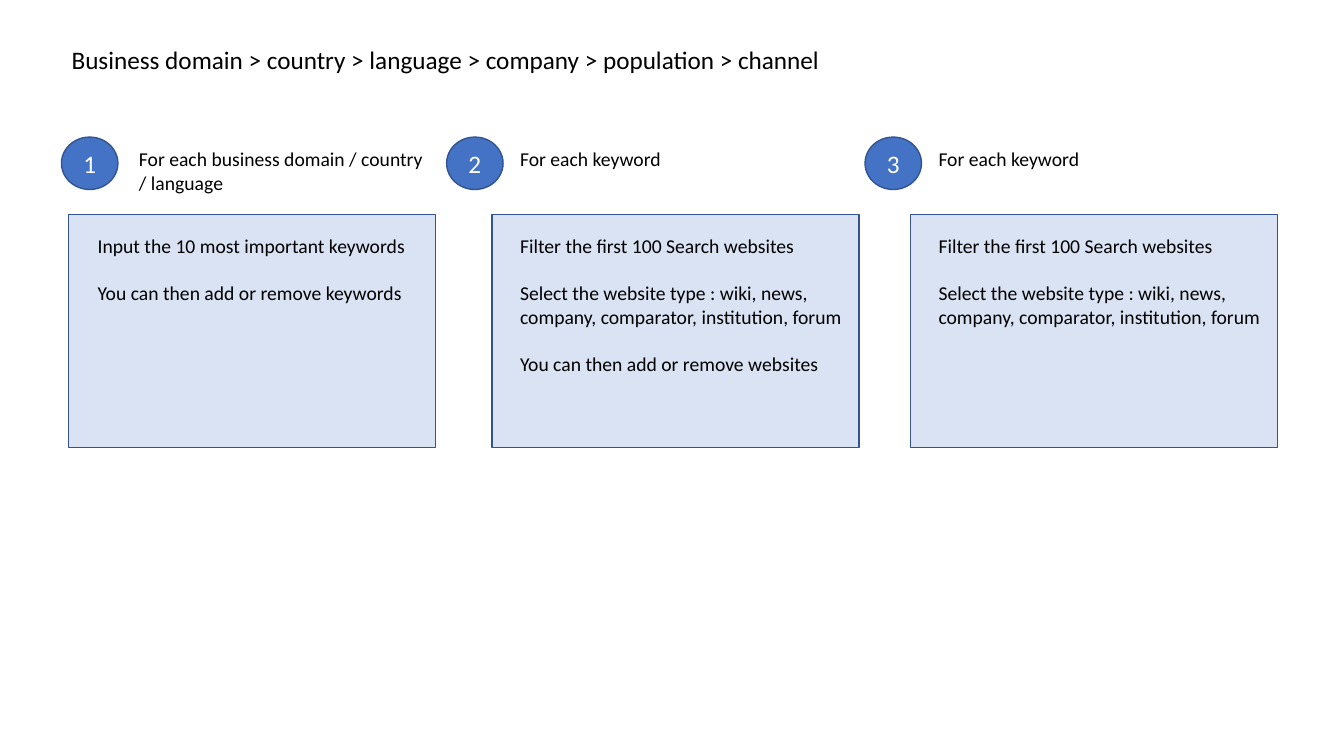
import pptx
import pptx.util
import pptx.dml.color
import pptx.enum.shapes
import pptx.enum.text
from dataclasses import dataclass

Inches = pptx.util.Inches
Pt = pptx.util.Pt
SHAPE = pptx.enum.shapes.MSO_SHAPE
ALIGN = pptx.enum.text.PP_ALIGN
ANCHOR = pptx.enum.text.MSO_ANCHOR
AUTO_SIZE = pptx.enum.text.MSO_AUTO_SIZE

FONT = "Calibri"
BLACK, WHITE = "000000", "FFFFFF"
BLUE, DARK_BLUE, PALE_BLUE = "4472C4", "325491", "DAE3F3"
LINE_HEIGHT = 0.24
FILTER = "Filter the first 100 Search websites"
SELECT = "Select the website type : wiki, news,\vcompany, comparator, institution, forum"


@dataclass
class Step:
    """One numbered column, with its left edges and widths in inches."""
    heading: str
    lines: list
    circle_x: float
    box_x: float
    heading_x: float
    heading_w: float
    body_x: float
    body_w: float
    heading_lines: int = 1


STEPS = [
    Step("For each business domain / country / language",
         ["Input the 10 most important keywords",
          "You can then add or remove keywords"],
         0.61, 0.68, 1.28, 3.05, 0.87, 3.32, 2),
    Step("For each keyword",
         [FILTER, SELECT, "You can then add or remove websites"],
         4.43, 4.88, 5.06, 1.61, 5.06, 3.42),
    Step("For each keyword", [FILTER, SELECT],
         8.58, 9.03, 9.21, 1.61, 9.21, 3.42),
]


def rgb(color):
    """Turn a hex string into a colour."""
    return pptx.dml.color.RGBColor.from_string(color)


def format_runs(p, size, color):
    """Set font, size and colour on every run of a paragraph."""
    for r in p.runs:
        r.font.name = FONT
        r.font.size = Pt(size)
        r.font.color.rgb = rgb(color)


def add_title(s, text):
    """Place the slide title at the top left."""
    sp = s.shapes.title
    sp.left, sp.top = Inches(0.61), Inches(0.39)
    sp.width, sp.height = Inches(7.71), Inches(0.4)
    tf = sp.text_frame
    tf.text = text
    tf.word_wrap = True
    tf.auto_size = AUTO_SIZE.SHAPE_TO_FIT_TEXT
    tf.vertical_anchor = ANCHOR.TOP
    p = tf.paragraphs[0]
    p.alignment = ALIGN.LEFT
    p.line_spacing = 1.0
    p.space_before = Pt(0)
    format_runs(p, 18, BLACK)


def add_panel(s, kind, x, y, w, h, fill):
    """Add a filled, outlined preset shape."""
    sp = s.shapes.add_shape(kind, Inches(x), Inches(y), Inches(w), Inches(h))
    sp.shadow.inherit = False
    sp.fill.solid()
    sp.fill.fore_color.rgb = rgb(fill)
    sp.line.color.rgb = rgb(DARK_BLUE)
    sp.line.width = Pt(1)
    return sp


def add_number(s, x, number):
    """Add a circle that holds a step number."""
    sp = add_panel(s, SHAPE.OVAL, x, 1.36, 0.56, 0.52, BLUE)
    tf = sp.text_frame
    tf.text = str(number)
    tf.vertical_anchor = ANCHOR.MIDDLE
    p = tf.paragraphs[0]
    p.alignment = ALIGN.CENTER
    format_runs(p, 18, WHITE)


def add_text(s, x, y, w, lines, line_count, wrap=False):
    """Add a text box whose paragraphs stand one line apart."""
    height = 0.1 + LINE_HEIGHT * line_count
    sp = s.shapes.add_textbox(Inches(x), Inches(y), Inches(w), Inches(height))
    tf = sp.text_frame
    tf.word_wrap = wrap
    tf.auto_size = AUTO_SIZE.SHAPE_TO_FIT_TEXT
    for i, line in enumerate(lines):
        p = tf.add_paragraph() if i else tf.paragraphs[0]
        p.text = line
        if i:
            p.space_before = Pt(17)
        format_runs(p, 14, BLACK)


def add_step(s, number, step):
    """Add one column: box, number, heading and body."""
    add_panel(s, SHAPE.RECTANGLE, step.box_x, 2.13, 3.64, 2.31, PALE_BLUE)
    add_number(s, step.circle_x, number)
    add_text(s, step.heading_x, 1.41, step.heading_w, [step.heading],
             step.heading_lines, wrap=step.heading_lines > 1)
    body_lines = 2 * len(step.lines) - 1 + sum(t.count("\v") for t in step.lines)
    add_text(s, step.body_x, 2.27, step.body_w, step.lines, body_lines)


def main():
    """Build the slide and save it."""
    prs = pptx.Presentation()
    prs.slide_width, prs.slide_height = Inches(13.33), Inches(7.5)
    s = prs.slides.add_slide(prs.slide_layouts[5])
    add_title(s, "Business domain > country > language > company > population > channel")
    for number, step in enumerate(STEPS, 1):
        add_step(s, number, step)
    prs.save("out.pptx")


main()
